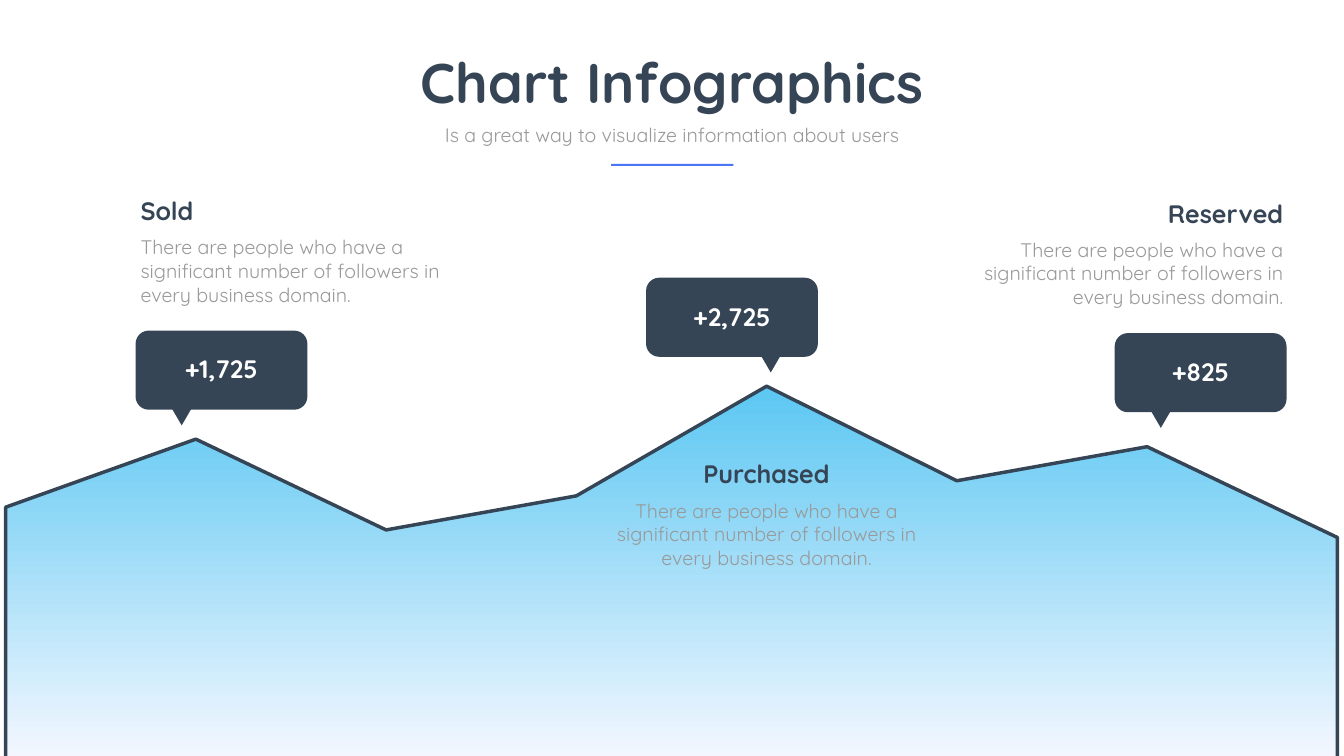
import pptx
import pptx.chart.data
import pptx.dml.color
import pptx.enum.chart
import pptx.enum.shapes
import pptx.enum.text
import pptx.util

Inches = pptx.util.Inches
Pt = pptx.util.Pt
ALIGN = pptx.enum.text.PP_ALIGN
SHAPE = pptx.enum.shapes.MSO_SHAPE

FONT = "Quicksand"
DARK, GREY, BLUE, WHITE = "364556", "999999", "4B74F6", "FFFFFF"
SKY, PALE = "5BC7F2", "F6F8FF"
DESCRIPTION = ("There are people who have a significant number of "
               "followers in every business domain.")


def color(value):
    return pptx.dml.color.RGBColor.from_string(value)


def add_text(slide, text, x, y, w, h, size=28, fill=GREY, bold=False,
             align=ALIGN.LEFT):
    tb = slide.shapes.add_textbox(Inches(x), Inches(y), Inches(w), Inches(h))
    tf = tb.text_frame
    tf.word_wrap = True
    p = tf.paragraphs[0]
    p.alignment = align
    r = p.add_run()
    r.text = text
    r.font.name = FONT
    r.font.size = Pt(size)
    r.font.bold = bold
    r.font.color.rgb = color(fill)


def add_block(slide, kind, x, y, w, h, fill):
    sp = slide.shapes.add_shape(kind, Inches(x), Inches(y), Inches(w), Inches(h))
    sp.shadow.inherit = False
    sp.fill.solid()
    sp.fill.fore_color.rgb = color(fill)
    sp.line.fill.background()
    return sp


def add_area_chart(slide, x, y, w, h):
    data = pptx.chart.data.CategoryChartData()
    data.categories = [str(n) for n in range(1, 9)]
    data.add_series("Series 1", [68, 86, 62, 71, 100, 75, 84, 60])
    chart = slide.shapes.add_chart(
        pptx.enum.chart.XL_CHART_TYPE.AREA_STACKED,
        Inches(x), Inches(y), Inches(w), Inches(h), data).chart
    chart.has_legend = False
    chart.has_title = False
    chart.font.name = FONT
    chart.font.size = Pt(20)
    chart.font.color.rgb = color(GREY)
    chart.category_axis.visible = False
    axis = chart.value_axis
    axis.visible = False
    axis.has_major_gridlines = False
    axis.minimum_scale, axis.maximum_scale = 0, 110

    plot = chart.plots[0]
    plot.vary_by_categories = False
    series = plot.series[0]
    fill = series.format.fill
    fill.gradient()
    fill.gradient_angle = 270
    for stop, value, position in zip(fill.gradient_stops, (SKY, PALE), (0, 1)):
        stop.color.rgb = color(value)
        stop.position = position
    series.format.line.color.rgb = color(DARK)
    series.format.line.width = Pt(5)
    set_plot_area(chart, x=0.02, y=0.03, w=0.96, h=0.94)


def set_plot_area(chart, **fractions):
    """Fix the inner plot area as fractions of the chart."""
    ns = "http://schemas.openxmlformats.org/drawingml/2006/chart"
    area = chart.plots[0]._element.getparent()
    for old in area.findall(f"{{{ns}}}layout"):
        area.remove(old)
    parts = '<c:layoutTarget val="inner"/><c:xMode val="edge"/><c:yMode val="edge"/>'
    parts += "".join(f'<c:{k} val="{v}"/>' for k, v in fractions.items())
    area.insert(0, pptx.oxml.parse_xml(
        f'<c:layout xmlns:c="{ns}"><c:manualLayout>{parts}</c:manualLayout></c:layout>'))


def add_header(slide, x, y, w):
    center = x + w / 2
    add_text(slide, "Chart Infographics", x, y, w, 1.45, size=80, fill=DARK,
             bold=True, align=ALIGN.CENTER)
    add_text(slide, "Is a great way to visualize information about users",
             center - 4.78, y + 1.48, 9.56, 0.57, align=ALIGN.CENTER)
    add_block(slide, SHAPE.RECTANGLE, center - 1.21, y + 2.35, 2.43, 0.04, BLUE)


def add_description(slide, heading, x, y, align):
    add_text(slide, heading, x, y, 6.3, 0.71, size=36, fill=DARK, bold=True,
             align=align)
    add_text(slide, DESCRIPTION, x, y + 0.79, 6.3, 1.51, align=align)


def add_callout(slide, value, x, y, pointer_x):
    add_block(slide, SHAPE.ROUNDED_RECTANGLE, x, y, 3.41, 1.57, DARK)
    pointer = add_block(slide, SHAPE.ISOSCELES_TRIANGLE, x + pointer_x, y + 1.39,
                        0.57, 0.49, DARK)
    pointer.rotation = 180
    add_text(slide, value, x + 0.37, y + 0.41, 2.67, 0.71, size=36, fill=WHITE,
             bold=True, align=ALIGN.CENTER)


def main():
    prs = pptx.Presentation()
    prs.slide_width, prs.slide_height = Inches(26.67), Inches(15)
    slide = prs.slides.add_slide(prs.slide_layouts[6])

    add_area_chart(slide, -0.44, 6.65, 27.53, 8.78)
    for heading, x, y, align in (
            ("Sold", 2.69, 3.83, ALIGN.LEFT),
            ("Purchased", 12.06, 9.05, ALIGN.CENTER),
            ("Reserved", 19.26, 3.88, ALIGN.RIGHT)):
        add_description(slide, heading, x, y, align)
    for value, x, y, pointer_x in (
            ("+1,725", 2.69, 6.56, 0.63),
            ("+2,725", 12.82, 5.51, 2.19),
            ("+825", 22.12, 6.61, 0.63)):
        add_callout(slide, value, x, y, pointer_x)
    add_header(slide, 6.88, 0.9, 12.91)
    prs.save("out.pptx")


if __name__ == "__main__":
    main()
